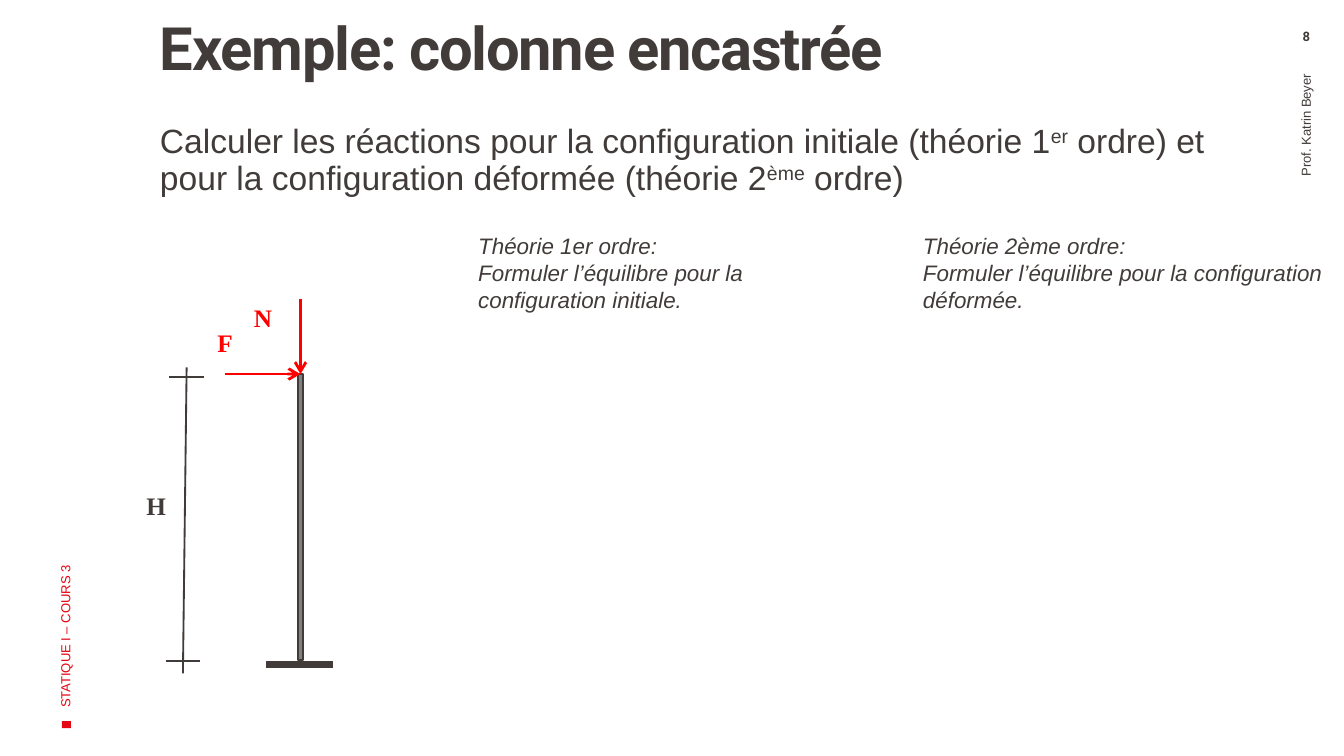
from lxml.etree import SubElement
from pptx import Presentation
from pptx.dml.color import RGBColor
from pptx.enum.shapes import MSO_CONNECTOR, MSO_SHAPE
from pptx.enum.text import MSO_ANCHOR, MSO_AUTO_SIZE, PP_ALIGN
from pptx.oxml.ns import qn
from pptx.util import Pt

COLORS = {"ink": "413C3A", "force": "FF0000", "accent": "E30613", "steel": "808080"}


def add_text(box, paragraphs, size, font="Arial", color="ink", bold=None, italic=None,
             margins=(7.2, 3.6, 7.2, 3.6), align=PP_ALIGN.LEFT, anchor=MSO_ANCHOR.TOP,
             wrap=True, spacing=None, grow=False):
    """Fill a box with paragraphs; odd pieces between ^ marks become superscripts."""
    frame = box.text_frame
    frame.word_wrap = wrap
    frame.auto_size = MSO_AUTO_SIZE.SHAPE_TO_FIT_TEXT if grow else MSO_AUTO_SIZE.NONE
    frame.vertical_anchor = anchor
    frame.margin_left, frame.margin_top, frame.margin_right, frame.margin_bottom = map(Pt, margins)
    for index, words in enumerate(paragraphs):
        paragraph = frame.add_paragraph() if index else frame.paragraphs[0]
        paragraph.alignment = align
        paragraph.line_spacing = spacing
        for piece, part in enumerate(words.split("^")):
            run = paragraph.add_run()
            run.text = part
            run.font.size = Pt(size)
            run.font.name = font
            run.font.bold = bold
            run.font.italic = italic
            run.font.color.rgb = RGBColor.from_string(COLORS[color])
            if piece % 2:
                run.font._element.set("baseline", "30000")


def add_line(x1, y1, x2, y2, color="ink", width=1, arrow=False):
    line = slide.shapes.add_connector(MSO_CONNECTOR.STRAIGHT, Pt(x1), Pt(y1), Pt(x2), Pt(y2))
    line.line.color.rgb = RGBColor.from_string(COLORS[color])
    line.line.width = Pt(width)
    if arrow:
        SubElement(line.line._get_or_add_ln(), qn("a:tailEnd"), type="arrow")
    SubElement(line._element.spPr, qn("a:effectLst"))
    return line


prs = Presentation()
prs.slide_width, prs.slide_height = Pt(720), Pt(405)
slide = prs.slides.add_slide(prs.slide_layouts[5])

# Title and task
title = slide.shapes.title
title.left, title.top, title.width, title.height = Pt(71.3), Pt(10.1), Pt(552.2), Pt(84.2)
add_text(title, ["Exemple: colonne encastrée"], 32, "Roboto", bold=True,
         margins=(14.4, 0, 5.8, 3.6), spacing=0.9)
title.text_frame.paragraphs[0].runs[0].font._element.set("spc", "-70")

task = slide.shapes.add_textbox(Pt(71.3), Pt(63.4), Pt(608.4), Pt(59.8))
add_text(task, ["Calculer les réactions pour la configuration initiale (théorie 1^er^ ordre) et "
                "pour la configuration déformée (théorie 2^ème^ ordre)"],
         18, margins=(14.4, 3.6, 7.2, 3.6), spacing=0.9)

# Margin texts
course = slide.shapes.add_textbox(Pt(-96.5), Pt(218.9), Pt(262.8), Pt(72))
course.rotation = 270
add_text(course, ["STATIQUE I – COURS 3"], 7, color="accent", anchor=MSO_ANCHOR.MIDDLE)

lecturer = slide.shapes.add_textbox(Pt(560.2), Pt(147.6), Pt(278.6), Pt(40.3))
lecturer.rotation = 270
add_text(lecturer, ["Prof. Katrin Beyer"], 7, margins=(7.2, 3.6, 11.1, 3.6),
         align=PP_ALIGN.RIGHT, anchor=MSO_ANCHOR.MIDDLE)

page = slide.shapes.add_textbox(Pt(679.7), Pt(15.1), Pt(40.3), Pt(13))
add_text(page, ["8"], 7, "Roboto", bold=True, margins=(7.2, 0, 7.2, 0), align=PP_ALIGN.CENTER)

# Footer mark and column
bars = []
for left, top, width, height, fill in [(33.2, 386.4, 4.8, 3.8, "accent"),
                                       (159.5, 200.4, 3, 153.4, "steel")]:
    bar = slide.shapes.add_shape(MSO_SHAPE.RECTANGLE, Pt(left), Pt(top), Pt(width), Pt(height))
    bar.shadow.inherit = False
    bar.fill.solid()
    bar.fill.fore_color.rgb = RGBColor.from_string(COLORS[fill])
    bar.line.fill.background()
    bars.append(bar)
column = bars[-1]
column.line.color.rgb = RGBColor.from_string(COLORS["ink"])
column.line.width = Pt(1)

# Support, forces and height dimension
add_line(142.6, 355.9, 178.6, 355.9, width=4)
add_line(120.4, 200.4, 160.9, 200.4, "force", 1.5, arrow=True)
axial_force = add_line(161, 160.4, 161, 200.4, "force", 1.5, arrow=True)
axial_force.end_connect(column, 0)
add_line(90.7, 201.8, 109.4, 201.8)
add_line(100, 196.8, 98, 360.8)
add_line(88.8, 354.2, 107.3, 354.2)

for symbol, left, top, width, color in [("F", 109.4, 172.1, 25.9, "force"),
                                        ("N", 128.9, 158.4, 27.4, "force"),
                                        ("H", 71.3, 259.2, 28.8, "ink")]:
    label = slide.shapes.add_textbox(Pt(left), Pt(top), Pt(width), Pt(28.8))
    add_text(label, [symbol], 13.5, "Times New Roman", color, bold=True, wrap=False, grow=True)

# The two theories
for left, width, heading, state in [(249.1, 182.9, "Théorie 1er ordre:", "initiale"),
                                    (487.4, 249.8, "Théorie 2ème ordre:", "déformée")]:
    theory = slide.shapes.add_textbox(Pt(left), Pt(121), Pt(width), Pt(51.1))
    add_text(theory, [heading, f"Formuler l’équilibre pour la configuration {state}."],
             12, italic=True, grow=True)

prs.save("out.pptx")
